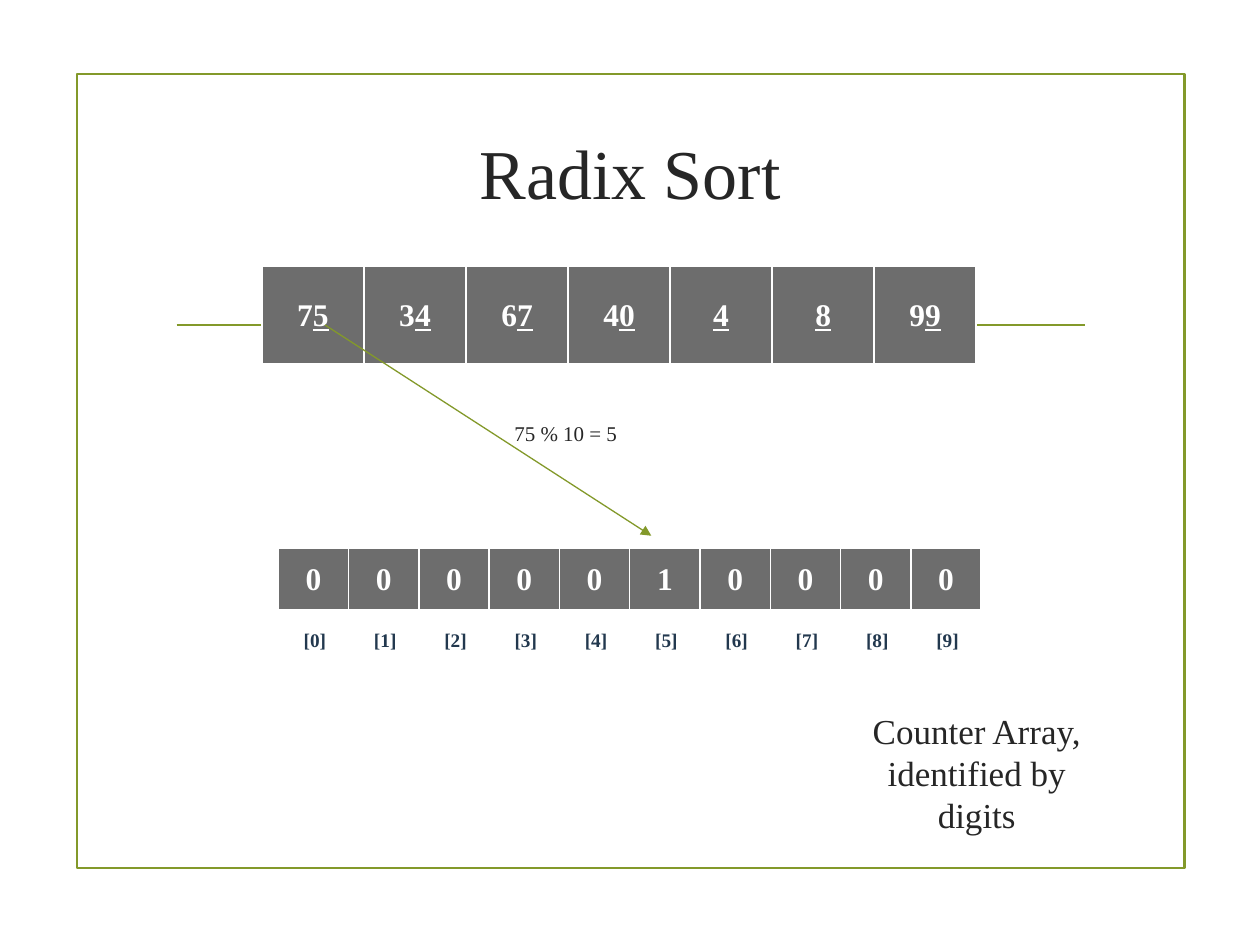
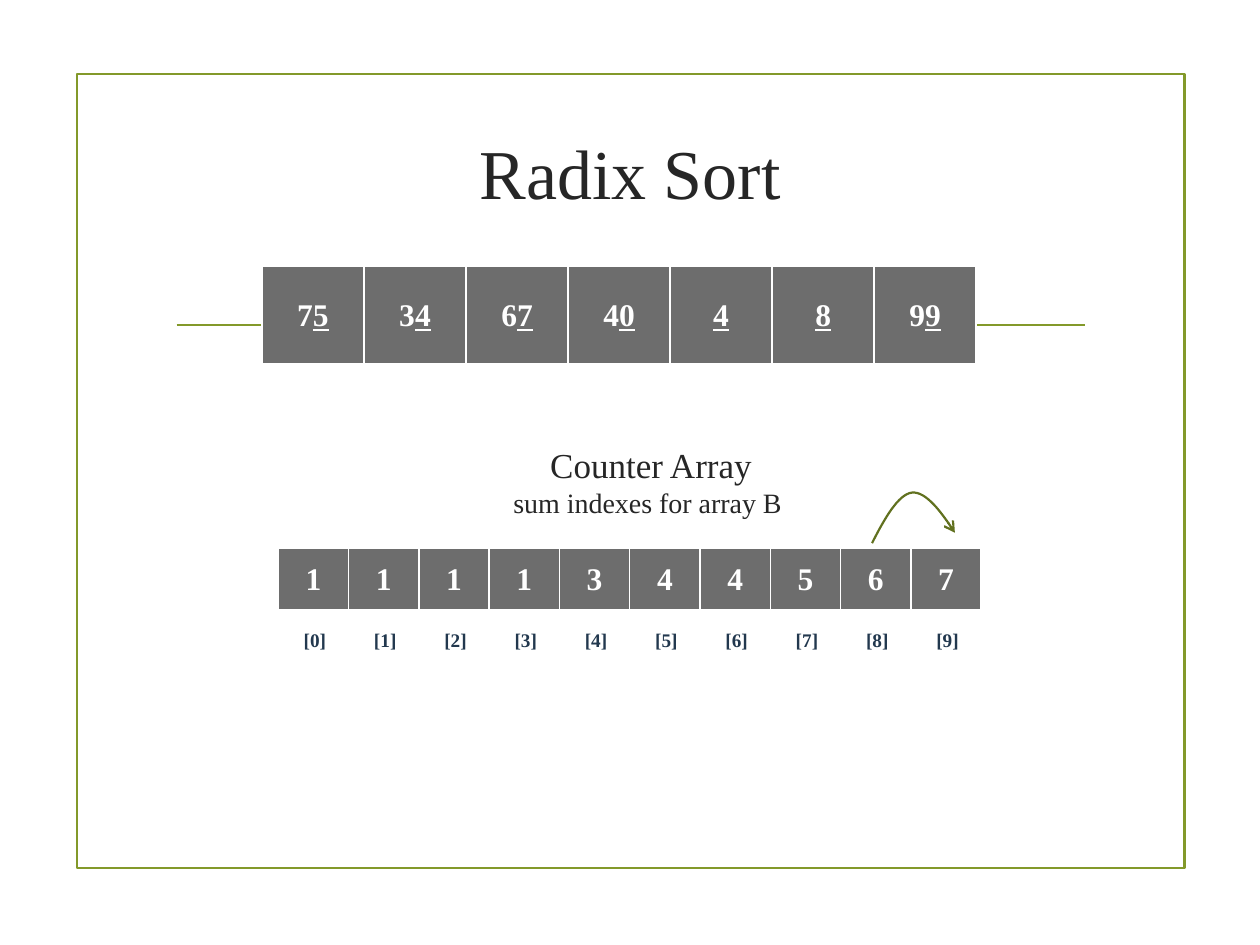
"""Build two slides that show the counting step of a radix sort."""
from lxml import etree
from pptx import Presentation
from pptx.dml.color import RGBColor
from pptx.enum.shapes import MSO_CONNECTOR, MSO_SHAPE
from pptx.enum.text import MSO_ANCHOR, PP_ALIGN
from pptx.oxml.ns import qn
from pptx.util import Cm, Pt

RECTANGLE = MSO_SHAPE.RECTANGLE
STRAIGHT = MSO_CONNECTOR.STRAIGHT
CENTER = PP_ALIGN.CENTER
MIDDLE = MSO_ANCHOR.MIDDLE

FONT = "Times New Roman"
COLORS = {
    "text": "262626",
    "accent": "83992A",
    "curve": "61711F",
    "cell": "6D6D6D",
    "index": "22384E",
    "white": "FFFFFF",
}
BORDERS = {"lnL": 1, "lnR": 1, "lnT": 1, "lnB": 3}
NUMBERS = [75, 34, 67, 40, 4, 8, 99]
INPUT_BOX = (5.28, 5.36, 14.4, 2.01)
COUNTER_BOX = (5.61, 11.05, 14.17, 1.27)
INDEX_BOX = (5.64, 12.52, 14.17, 0.81)
CURVE_STEPS = 16


def color(name):
    return RGBColor.from_string(COLORS[name])


def bezier_point(points, t):
    weights = ((1 - t) ** 3, 3 * t * (1 - t) ** 2, 3 * t * t * (1 - t), t ** 3)
    return tuple(
        Cm(sum(weight * point[axis] for weight, point in zip(weights, points)))
        for axis in (0, 1)
    )


class Deck:
    def __init__(self):
        self.presentation = Presentation()
        self.presentation.slide_width = Cm(25.4)
        self.presentation.slide_height = Cm(19.05)
        self.slide = None

    def start_slide(self, title):
        self.slide = self.presentation.slides.add_slide(self.presentation.slide_layouts[6])
        self.frame(1.55, 1.5, 22.33, 16)
        self.line((3.56, 6.55), (21.87, 6.55), 1.25)
        self.text((3.25, 1.65, 18.9, 3.63), [(title, 40)])

    def frame(self, left, top, width, height):
        shape = self.slide.shapes.add_shape(
            RECTANGLE, Cm(left), Cm(top), Cm(width), Cm(height))
        shape.shadow.inherit = False
        shape.fill.background()
        self.outline(shape, "accent", 1.25)

    def outline(self, shape, color_name, width, arrowhead=None):
        shape.line.color.rgb = color(color_name)
        shape.line.width = Pt(width)
        if arrowhead:
            line_element = shape.line._get_or_add_ln()
            etree.SubElement(line_element, qn("a:tailEnd"), type=arrowhead)

    def line(self, start, end, width, arrowhead=None):
        connector = self.slide.shapes.add_connector(
            STRAIGHT, *(Cm(value) for value in (*start, *end)))
        self.outline(connector, "accent", width, arrowhead)
        etree.SubElement(connector._element.spPr, qn("a:effectLst"))

    def curve(self, *segments):
        start = bezier_point(segments[0], 0)
        builder = self.slide.shapes.build_freeform(*start)
        for segment in segments:
            builder.add_line_segments(
                [bezier_point(segment, step / CURVE_STEPS)
                 for step in range(1, CURVE_STEPS + 1)], close=False)
        shape = builder.convert_to_shape()
        shape.shadow.inherit = False
        shape.fill.background()
        self.outline(shape, "curve", 1.25, "arrow")

    def run(self, paragraph, text, size, color_name="text", bold=False, underline=False):
        paragraph.alignment = CENTER
        run = paragraph.add_run()
        run.text = text
        run.font.name = FONT
        run.font.size = Pt(size)
        run.font.color.rgb = color(color_name)
        run.font.bold = bold
        run.font.underline = underline

    def text(self, box, lines, wrap=True):
        text_box = self.slide.shapes.add_textbox(*(Cm(value) for value in box))
        text_frame = text_box.text_frame
        text_frame.word_wrap = wrap
        text_frame.vertical_anchor = MIDDLE
        for position, (line, size) in enumerate(lines):
            paragraph = text_frame.add_paragraph() if position else text_frame.paragraphs[0]
            self.run(paragraph, line, size)

    def row(self, box, texts, size=18, text_color="white", filled=True, mark_last=False):
        left, top, width, height = (Cm(value) for value in box)
        table = self.slide.shapes.add_table(
            1, len(texts), left, top, width, height).table
        table.first_row = table.horz_banding = False
        table.rows[0].height = height
        for column, text in enumerate(texts):
            table.columns[column].width = width // len(texts)
            cell = table.cell(0, column)
            cell.vertical_anchor = MIDDLE
            paragraph = cell.text_frame.paragraphs[0]
            plain, marked = (text[:-1], text[-1]) if mark_last else (text, "")
            for part, underline in ((plain, False), (marked, True)):
                if part:
                    self.run(paragraph, part, size, text_color, True, underline)
            if filled:
                self.borders(cell)
                cell.fill.solid()
                cell.fill.fore_color.rgb = color("cell")
            else:
                cell.fill.background()

    def borders(self, cell):
        properties = cell._tc.get_or_add_tcPr()
        for side, width in BORDERS.items():
            border = etree.SubElement(properties, qn(f"a:{side}"), w=str(Pt(width)))
            fill = etree.SubElement(border, qn("a:solidFill"))
            etree.SubElement(fill, qn("a:srgbClr"), val=COLORS["white"])

    def arrays(self, counters):
        self.row(INPUT_BOX, [str(number) for number in NUMBERS], mark_last=True)
        self.row(COUNTER_BOX, [str(counter) for counter in counters])
        self.row(INDEX_BOX, [f"[{digit}]" for digit in range(len(counters))],
                 size=11, text_color="index", filled=False)


def main():
    deck = Deck()

    deck.start_slide("Radix Sort")
    deck.arrays([0, 0, 0, 0, 0, 1, 0, 0, 0, 0])
    deck.text((17.15, 14.15, 5.08, 2.84), [("Counter Array, identified by digits", 20)])
    deck.line((6.55, 6.55), (13.13, 10.8), 0.75, "triangle")
    deck.text((10.11, 8.23, 2.59, 0.99), [("75 % 10 = 5", 12)], wrap=False)

    deck.start_slide("Radix Sort")
    deck.arrays([1, 1, 1, 1, 3, 4, 4, 5, 6, 7])
    deck.text((9.53, 8.56, 7.19, 2.29),
              [("Counter Array", 20), ("sum indexes for array B ", 16)])
    deck.curve(
        ((17.58, 10.95), (17.83, 10.46), (18.11, 9.96), (18.39, 9.93)),
        ((18.39, 9.93), (18.67, 9.91), (18.97, 10.31), (19.25, 10.74)),
    )

    deck.presentation.save("out.pptx")


if __name__ == "__main__":
    main()
